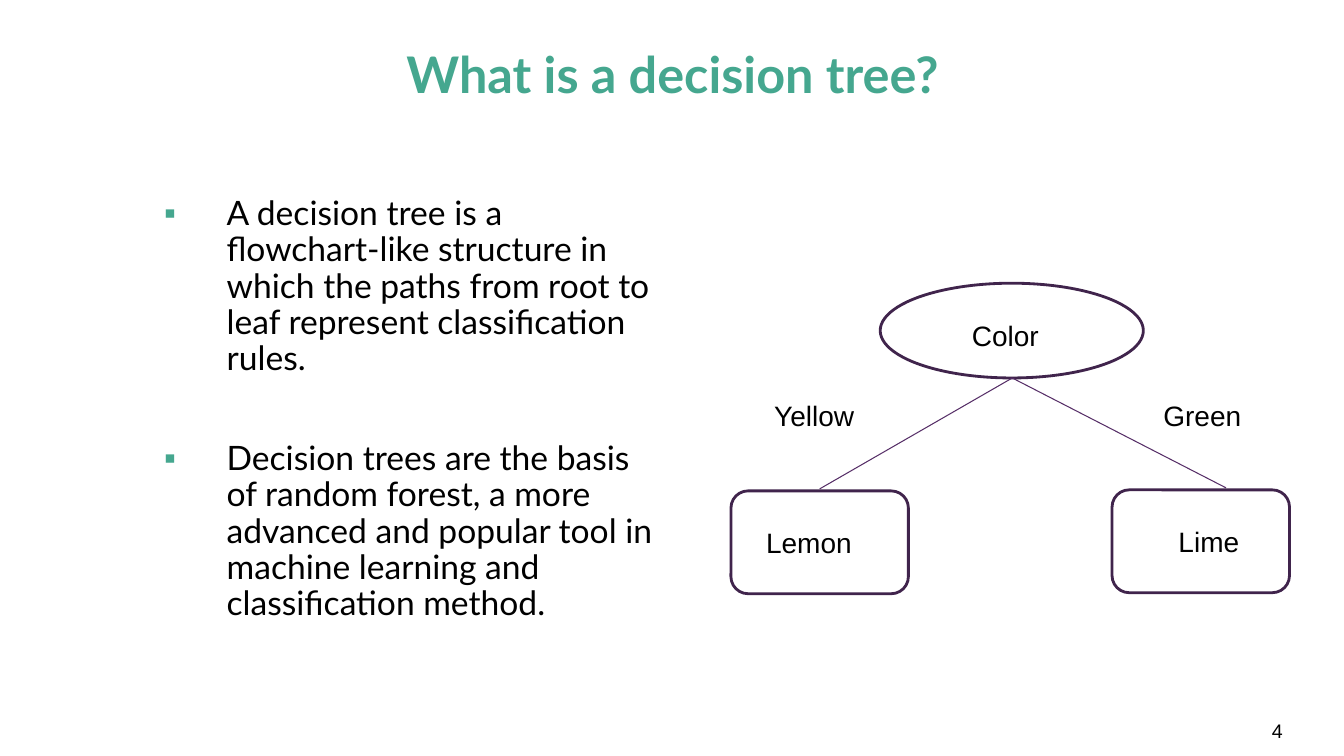
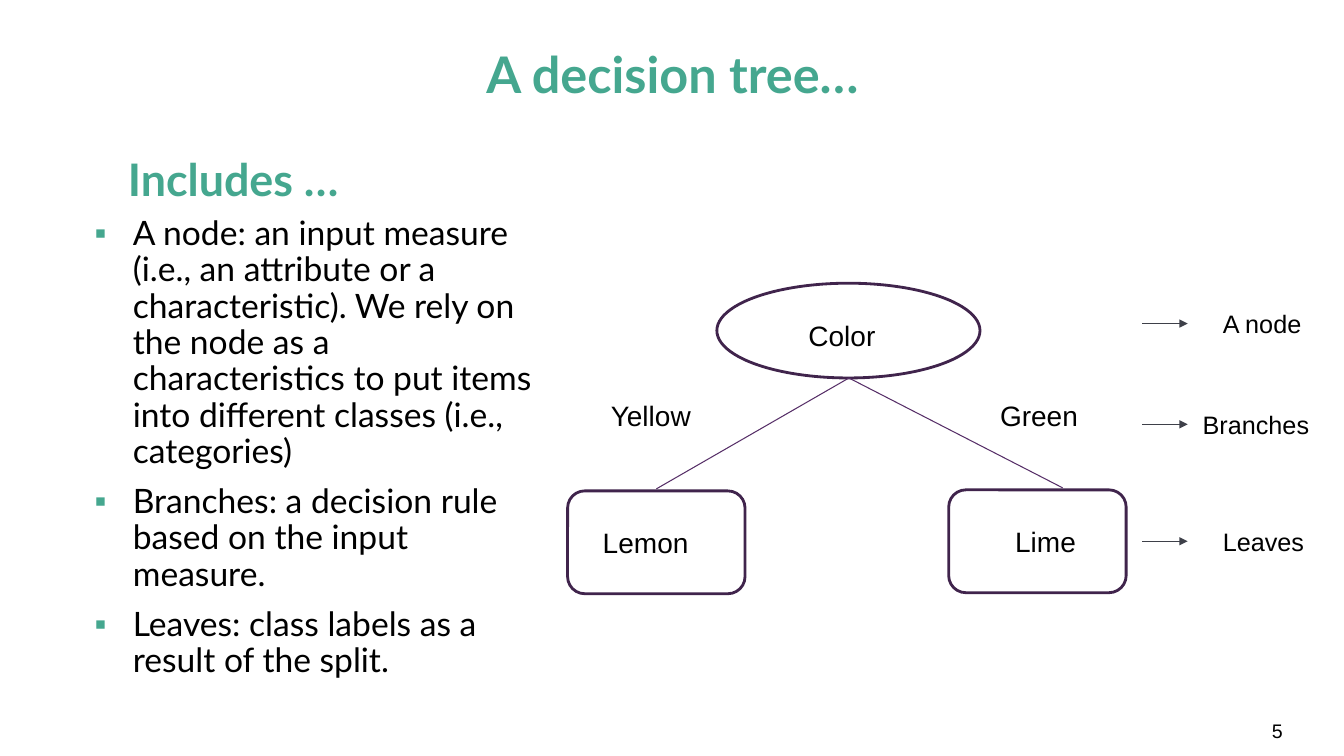
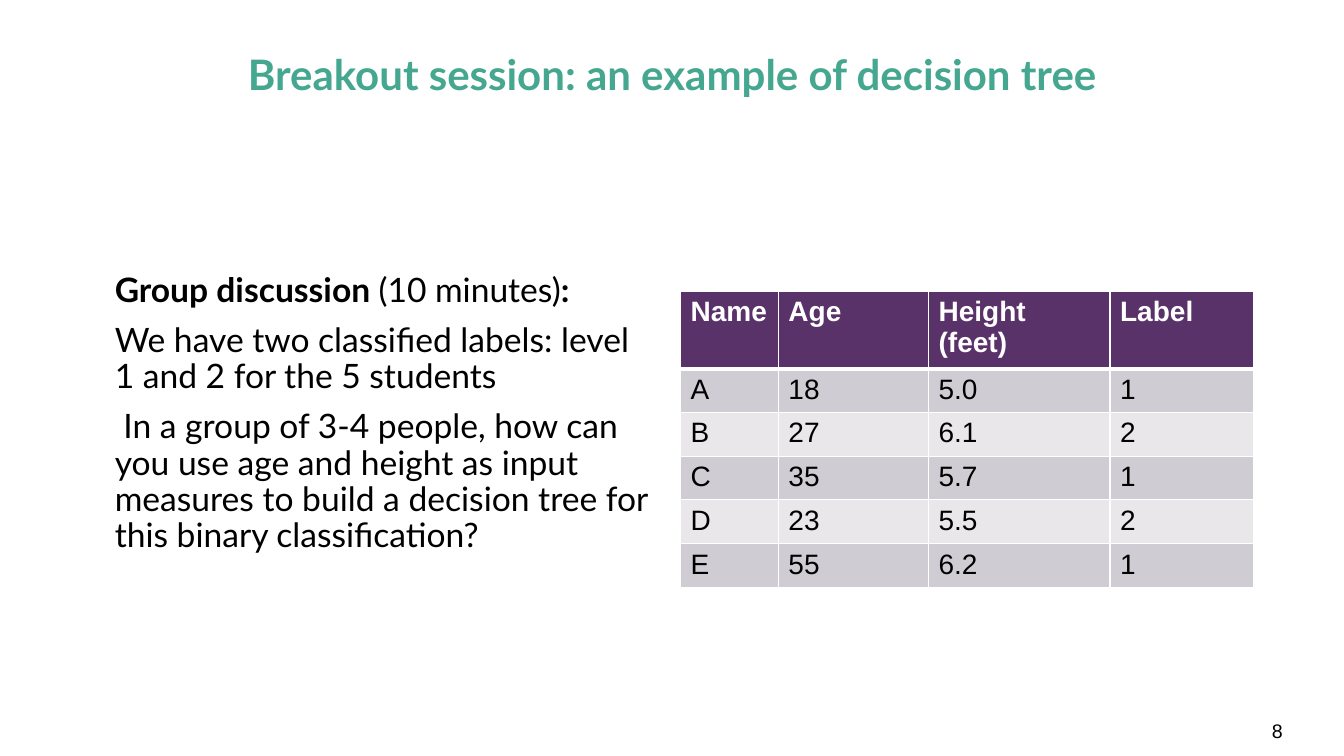
from lxml.etree import SubElement as Sub
from pptx import Presentation
from pptx.dml.color import RGBColor
from pptx.enum.shapes import MSO_CONNECTOR as Conn, MSO_SHAPE as Shape
from pptx.enum.text import MSO_ANCHOR as Anchor, PP_ALIGN as Align
from pptx.oxml.ns import qn
from pptx.util import Inches, Pt

TEAL, BLACK, WHITE = "45A78F", "000000", "FFFFFF"
EDGE, BRANCH, ARROW = "40244C", "562E67", "3E4049"
HEAD, BANDS = "593269", ("D0CCD3", "E9E7EA")

TITLE = {"name": "Lato", "size": Pt(36), "bold": True, "color": TEAL}
BODY = {"name": "Lato", "size": Pt(24), "bold": False, "color": BLACK}
LABEL = {"name": "Arial", "size": Pt(20), "bold": False, "color": BLACK}
FLOW = {"line_spacing": 0.9, "space_before": Pt(10)}


def rgb(code):
    return RGBColor.from_string(code)


def inches(*sizes):
    return [Inches(size) for size in sizes]


def style(item, look):
    """Set each attribute named in look; color is a hex string."""
    for key, value in look.items():
        if key == "color":
            item.color.rgb = rgb(value)
        else:
            setattr(item, key, value)


def write(para, text, look, flow=None):
    """Fill a paragraph with a string or with (text, bold) runs."""
    style(para, flow or {})
    runs = [(text, look["bold"])] if isinstance(text, str) else text
    for part, bold in runs:
        run = para.add_run()
        run.text = part
        style(run.font, {**look, "bold": bold})


def indent(para, left, first, bullet=False):
    props = para._p.get_or_add_pPr()
    props.set("marL", str(Inches(left)))
    props.set("indent", str(Inches(first)))
    if bullet:
        Sub(Sub(props, qn("a:buClr")), qn("a:srgbClr"), val=TEAL)
        Sub(props, qn("a:buFont"), typeface="Arial")
        Sub(props, qn("a:buChar"), char="▪")


def text_box(slide, box, lines, look, flow=None, anchor=Anchor.TOP, pad=0.05):
    frame = slide.shapes.add_textbox(*inches(*box)).text_frame
    style(frame, {"word_wrap": True, "vertical_anchor": anchor,
                  "margin_top": Inches(pad), "margin_bottom": Inches(pad)})
    for num, line in enumerate(lines):
        para = frame.add_paragraph() if num else frame.paragraphs[0]
        write(para, line, look, flow)
    return frame.paragraphs


def bullets(slide, box, lines, left, first, gap=10):
    flow = {**FLOW, "space_before": Pt(gap)}
    for para in text_box(slide, box, lines, BODY, flow):
        indent(para, left, first, True)


def line(slide, start, end, color, arrow=False):
    link = slide.shapes.add_connector(Conn.STRAIGHT, *inches(*start, *end))
    style(link.line, {"color": color, "width": Pt(0.75)})
    if arrow:
        Sub(link.line._get_or_add_ln(), qn("a:tailEnd"), type="triangle")
    Sub(link._element.spPr, qn("a:effectLst"))


def node(slide, kind, box, text, shift):
    """Draw an outlined node with its label moved by shift from its corner."""
    shape = slide.shapes.add_shape(kind, *inches(*box))
    shape.shadow.inherit = False
    shape.fill.background()
    style(shape.line, {"color": EDGE, "width": Pt(2)})
    left, top = box[0] + shift[0], box[1] + shift[1]
    text_box(slide, (left, top, 1.56, 0.44), [text], LABEL)


def tree(slide, left, top):
    root = (left + 2.79, top + 0.94)
    node(slide, Shape.OVAL, (left + 1.48, top, 2.61, 0.94), "Color", (0.81, 0.3))
    leaves = [("Lemon", 0, 2.06, 0.25, 0.88), ("Lime", 3.78, 2.05, 0.56, 4.91)]
    for text, x, y, shift, end in leaves:
        line(slide, root, (left + end, top + y - 0.02), BRANCH)
        node(slide, Shape.ROUNDED_RECTANGLE, (left + x, top + y, 1.76, 1.02),
             text, (shift, 0.29))
    for text, x in (("Yellow", 0.33), ("Green", 4.19)):
        text_box(slide, (left + x, top + 1.09, 1.5, 0.44), [text], LABEL)


def legend(slide, left, top):
    look = {**LABEL, "size": Pt(18)}
    for text, x, y in (("A node", 0.7, 0), ("Branches", 0.5, 1), ("Leaves", 0.7, 2.16)):
        line(slide, (left, top + y), (left + 0.45, top + y), ARROW, True)
        text_box(slide, (left + x, top + y - 0.25, 1.45, 0.5), [text], look, pad=0.1)


def border(cell, bottom):
    props = cell._tc.get_or_add_tcPr()
    sides = (("L", 1), ("R", 1), ("T", 1), ("B", bottom))
    for spot, (side, width) in enumerate(sides):
        edge = Sub(props, qn("a:ln" + side), w=str(Pt(width)))
        Sub(Sub(edge, qn("a:solidFill")), qn("a:srgbClr"), val=WHITE)
        props.insert(spot, edge)


def grid(slide, left, top, widths, rows, height=0.41):
    box = inches(left, top, sum(widths), height * len(rows))
    table = slide.shapes.add_table(len(rows), len(widths), *box).table
    for col, width in zip(table.columns, widths):
        col.width = Inches(width)
    for r, row in enumerate(rows):
        table.rows[r].height = Inches(height)
        look = LABEL if r else {**LABEL, "bold": True, "color": WHITE}
        for c, text in enumerate(row):
            cell = table.cell(r, c)
            cell.fill.solid()
            cell.fill.fore_color.rgb = rgb(BANDS[(r - 1) % 2] if r else HEAD)
            border(cell, 1 if r else 3)
            write(cell.text_frame.paragraphs[0], text, look)


def page(deck, title, number, size=36):
    """Add a blank slide with the shared title and page number."""
    slide = deck.slides.add_slide(deck.slide_layouts[6])
    text_box(slide, (0.92, 0.4, 11.5, 0.73), [title], {**TITLE, "size": Pt(size)},
             {"alignment": Align.CENTER, "line_spacing": 0.9}, Anchor.MIDDLE)
    text_box(slide, (12.15, 7.05, 0.67, 0.4), [number], {**LABEL, "size": Pt(14)},
             {"alignment": Align.RIGHT}, Anchor.MIDDLE)
    return slide


def define(deck):
    slide = page(deck, "What is a decision tree?", "4")
    bullets(slide, (1.27, 1.9, 5.4, 4.88), [
        "A decision tree is a flowchart-like structure in which the paths from "
        "root to leaf represent classification rules.",
        "Decision trees are the basis of random forest, a more advanced and "
        "popular tool in machine learning and classification method.",
    ], 0.88, -0.62, 45.5)
    tree(slide, 7.25, 2.81)


def explain(deck):
    slide = page(deck, "A decision tree…", "5")
    heading = text_box(slide, (0.92, 1.23, 5.64, 0.87), ["Includes …"],
                       {**TITLE, "size": Pt(32)}, FLOW, Anchor.BOTTOM)
    indent(heading[0], 0.5, -0.25)
    bullets(slide, (0.72, 2.1, 4.77, 5.21), [
        "A node: an input measure (i.e., an attribute or a characteristic). We "
        "rely on the node as a characteristics to put items into different "
        "classes (i.e., categories)",
        "Branches: a decision rule based on the input measure.",
        "Leaves: class labels as a result of the split.",
    ], 0.5, -0.38)
    tree(slide, 5.63, 2.81)
    legend(slide, 11.33, 3.21)


def discuss(deck):
    slide = page(deck, "Breakout session: an example of decision tree", "8", 30)
    paras = text_box(slide, (0.92, 2.66, 5.64, 3.87), [
        [("Group discussion ", True), ("(10 minutes)", False), (":", True)],
        "We have two classified labels: level 1 and 2 for the 5 students",
        " In a group of 3-4 people, how can you use age and height as input "
        "measures to build a decision tree for this binary classification?",
    ], BODY, FLOW)
    for para in paras:
        indent(para, 0.12, 0)
    grid(slide, 6.75, 2.89, (0.97, 1.49, 1.8, 1.42), [
        ("Name", "Age", "Height (feet)", "Label"),
        ("A", "18", "5.0", "1"),
        ("B", "27", "6.1", "2"),
        ("C", "35", "5.7", "1"),
        ("D", "23", "5.5", "2"),
        ("E", "55", "6.2", "1"),
    ])


def main():
    deck = Presentation()
    deck.slide_width, deck.slide_height = inches(13.33, 7.5)
    for build in (define, explain, discuss):
        build(deck)
    deck.save("out.pptx")


if __name__ == "__main__":
    main()
